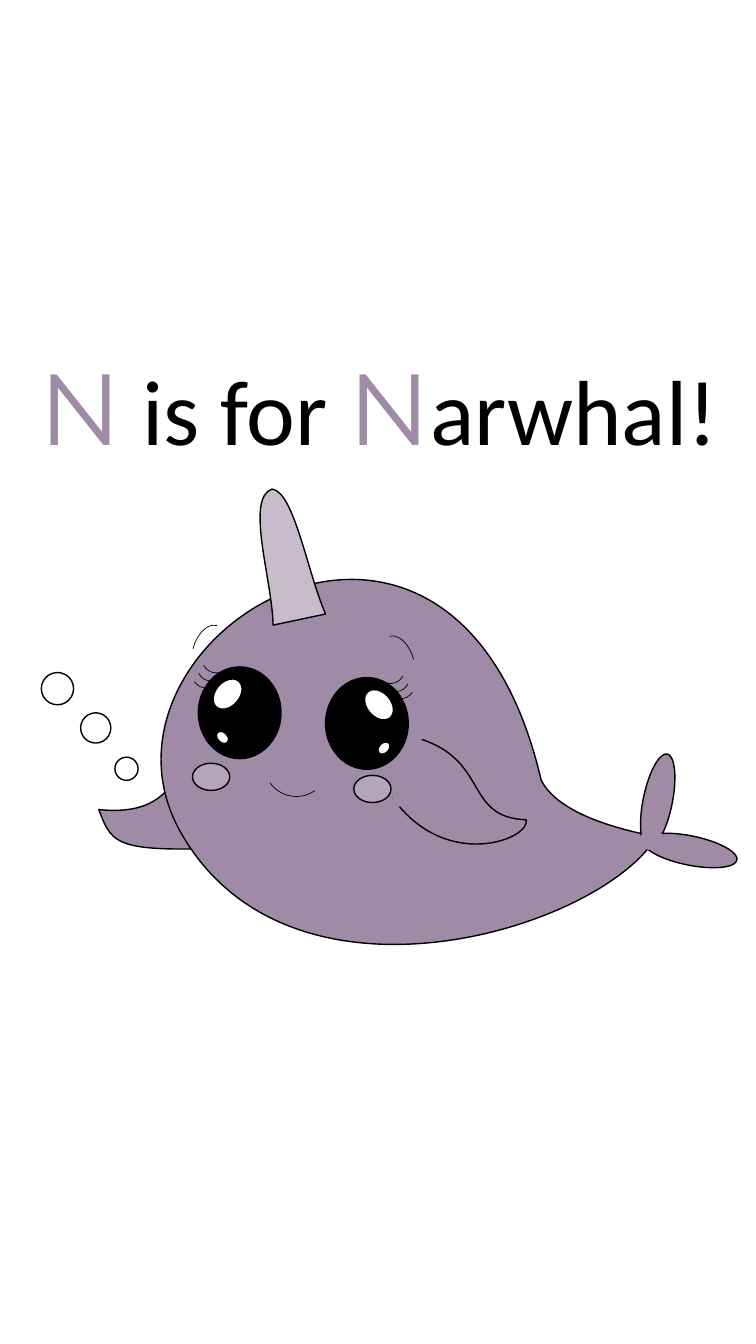
import math
import pptx
import pptx.util
import pptx.dml.color
import pptx.enum.shapes
import pptx.enum.text
import pptx.oxml
import pptx.oxml.ns

RGB = pptx.dml.color.RGBColor.from_string
KIND = pptx.enum.shapes.MSO_SHAPE
NAMES = pptx.oxml.ns.nsdecls("a")
HUES = {"skin": "A08BA7", "horn": "C8BCCC", "cheek": "B5A5BB",
        "ink": "000000", "white": "FFFFFF", "red": "FF0000"}

deck = pptx.Presentation()
deck.slide_width = pptx.util.Inches(7.5)
deck.slide_height = pptx.util.Inches(13.33)
slide = deck.slides.add_slide(deck.slide_layouts[6])
CELL = deck.slide_width / 75  # square grid, 75 columns across


def paint(shape, fill=None, line=1, turn=0):
    shape.shadow.inherit = False
    shape.rotation = turn
    if fill:
        shape.fill.solid()
        shape.fill.fore_color.rgb = RGB(HUES[fill])
    else:
        shape.fill.background()
    if line:
        shape.line.color.rgb = RGB(HUES["ink"])
        shape.line.width = pptx.util.Pt(line)
    else:
        shape.line.fill.background()


def add(kind, box, *style):
    shape = slide.shapes.add_shape(kind, *[round(n * CELL) for n in box])
    paint(shape, *style)
    return shape


# Title
box = slide.shapes.add_textbox(*[round(n * CELL) for n in (-9.5, 33.7, 96.2, 13.1)])
frame = box.text_frame
frame.word_wrap = True
frame.auto_size = pptx.enum.text.MSO_AUTO_SIZE.SHAPE_TO_FIT_TEXT
para = frame.paragraphs[0]
para.alignment = pptx.enum.text.PP_ALIGN.CENTER
edge = '<a:solidFill><a:srgbClr val="000000"/></a:solidFill>'
for text, size, face, hue, rim in (
        ("N", 72, "Montserrat", "skin", True),
        (" ", 66, "Calibri", "red", False),
        ("is for ", 66, "Calibri", "ink", False),
        ("N", 72, "Montserrat", "skin", True),
        ("arwhal", 66, "Calibri", "ink", True),
        ("! ", 66, "Calibri", "ink", False)):
    run = para.add_run()
    run.text = text
    run.font.size = pptx.util.Pt(size)
    run.font.name = face
    run.font.color.rgb = RGB(HUES[hue])
    run.font._element.insert(0, pptx.oxml.parse_xml(
        f'<a:ln w="9525" {NAMES}>{edge if rim else "<a:noFill/>"}</a:ln>'))

# Outlines: a start, then corners (2 numbers) or curves (6 numbers)
fin = [(9.8, 80.3), (17.9, 81.1, 16.8, 75.6, 21.2, 73.9), (28.3, 83.8),
       (11.2, 84.8, 11.3, 84.1, 9.8, 80.3)]
body = [(17.9, 82.5), (7.1, 63.2, 45, 40, 53.7, 77.4),
        (56.2, 82.2, 67.2, 83, 65, 83.2), (59.3, 92.2, 28.7, 101.7, 17.9, 82.5)]
horn = [(27.1, 62), (27, 57.5, 24.3, 49.4, 27, 48.5),
        (29.2, 48.8, 30.5, 56.8, 32.3, 60.9), (27.1, 62)]
arm = [(52.2, 81.3), (46, 81.1, 48.6, 75.3, 41.4, 73.2), (39, 79.2),
       (44.3, 86.5, 52.7, 83.2, 52.2, 81.3)]
tail = [((63.8, 74.7, 2.9, 9.5), 11.4), ((67, 79.6, 2.9, 9.5), 101.5)]
for path, (x, y, w, h), turn, fill in (
        (fin, (9.8, 73.9, 18.6, 10.3), 0, "skin"),
        (body, (16, 57.5, 49.3, 36.2), 0, "skin"),
        (horn, (25.7, 48.4, 5.4, 13.3), 348.2, "horn"),
        (arm, (39.1, 73.7, 13.3, 9.8), 6.5, None)):
    left, top = round(x * CELL), round(y * CELL)
    pen = slide.shapes.build_freeform(left, top, scale=1.0)
    pen.add_line_segments([(round((x + w) * CELL), round((y + h) * CELL))])
    shape = pen.convert_to_shape()
    paint(shape, fill, 1, turn)
    trace = shape._element.spPr.find(".//" + pptx.oxml.ns.qn("a:path"))
    for node in list(trace):
        trace.remove(node)
    # Points are turned back about the box centre, as the shape itself is turned
    cos, sin = math.cos(math.radians(turn)), math.sin(math.radians(turn))
    for part in path:
        dots = ""
        for px, py in zip(part[::2], part[1::2]):
            dx, dy = px - x - w / 2, py - y - h / 2
            across = round((w / 2 + dx * cos + dy * sin) * CELL)
            down = round((h / 2 - dx * sin + dy * cos) * CELL)
            dots += f'<a:pt x="{across}" y="{down}"/>'
        tag = "cubicBezTo" if len(part) == 6 else "lnTo" if len(trace) else "moveTo"
        trace.append(pptx.oxml.parse_xml(f"<a:{tag} {NAMES}>{dots}</a:{tag}>"))
    trace.append(pptx.oxml.parse_xml(f"<a:close {NAMES}/>"))
    if path is body:
        for place, lean in tail:
            add(KIND.OVAL, place, "skin", 1, lean)

# Left cheek
add(KIND.OVAL, (19.1, 75.7, 3.7, 2.7), "cheek")

# Eyes: the left one mirrors the right one, slightly higher
eye = [(KIND.OVAL, (32.3, 67.2, 8.2, 9.1), "ink", 1, 0),
       (KIND.ARC, (37.4, 65.1, 2.7, 2.7), None, 0.5, 115.6),
       (KIND.ARC, (37.9, 65.9, 2.7, 2.7), None, 0.5, 115.6),
       (KIND.ARC, (38.4, 66.6, 2.7, 2.7), None, 0.5, 121.6),
       (KIND.OVAL, (35.9, 68.7, 3.4, 2.4), "white", 1, 48.8),
       (KIND.OVAL, (37.4, 73.7, 1.4, 1), "white", 1, 314.6),
       (KIND.ARC, (37.7, 63, 3.4, 5.7), None, 0.5, 344.8)]
for mirror in (False, True):
    for kind, (x, y, w, h), fill, line, turn in eye:
        if mirror:
            x, y, turn = 60.18 - x - w, y - 1.06, -turn % 360
        shape = add(kind, (x, y, w, h), fill, line, turn)
        if mirror:
            shape._element.spPr.xfrm.set("flipH", "1")

# Arm joint, right cheek, tail joint and smile
add(KIND.OVAL, (35.1, 76.45, 10.2, 1.1), "skin", 0, 289.1)
add(KIND.OVAL, (35.1, 76.9, 3.7, 2.7), "cheek")
add(KIND.OVAL, (63.6, 82.1, 2.1, 2.3), "skin", 0, 254.4)
add(KIND.ARC, (26.2, 72.6, 6.4, 6.4), None, 0.5, 144.8)

# Bubbles
for x, y, size in ((11.4, 75.1, 2.3), (8, 70.7, 3), (4.1, 66.7, 3.2)):
    add(KIND.OVAL, (x, y, size, size))

deck.save("out.pptx")
